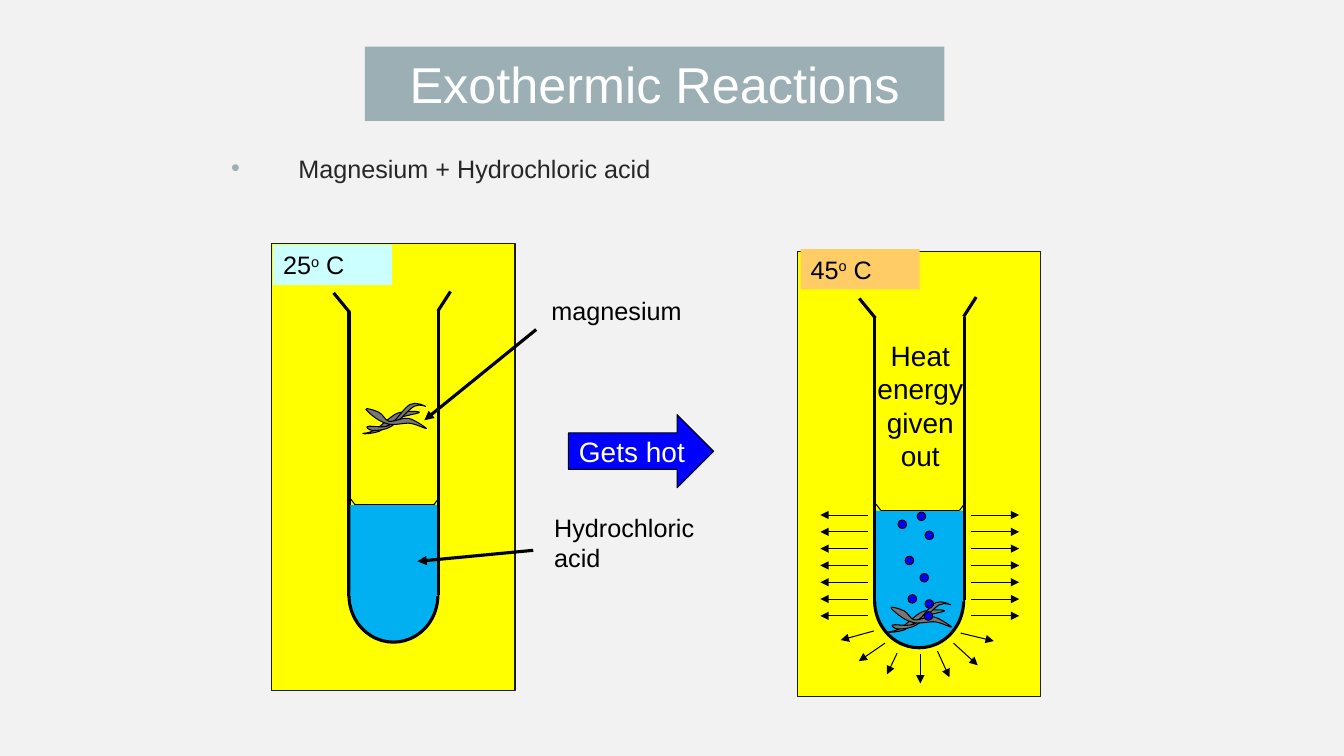
import dataclasses
import typing

import lxml.etree
import pptx
import pptx.dml.color
import pptx.enum.shapes
import pptx.enum.text
import pptx.oxml.ns
import pptx.util

Pt = pptx.util.Pt
qn = pptx.oxml.ns.qn
Kind = pptx.enum.shapes.MSO_SHAPE
Align = pptx.enum.text.PP_ALIGN
Anchor = pptx.enum.text.MSO_ANCHOR
Point = tuple[float, float]


@dataclasses.dataclass(frozen=True)
class Theme:
    font: str = "Arial"
    page: str = "F2F2F2"
    band: str = "9BAFB5"
    white: str = "FFFFFF"
    black: str = "000000"
    body: str = "262626"
    panel: str = "FFFF00"
    edge: str = "1C1C1C"
    acid: str = "00B0F0"
    metal: str = "777777"
    blue: str = "0000FF"
    cool: str = "CCFFFF"
    warm: str = "FFCC66"
    title: float = 36
    large: float = 20
    text: float = 18
    thin: float = 0.75
    thick: float = 2.25


THEME = Theme()


class Box(typing.NamedTuple):
    left: float
    top: float
    width: float
    height: float


class Line(typing.NamedTuple):
    x1: float
    y1: float
    x2: float
    y2: float
    width: float = THEME.thin
    arrow: bool = False


class Run(typing.NamedTuple):
    text: str
    raised: bool = False


class Label(typing.NamedTuple):
    box: Box
    lines: list[list[Run]]
    size: float = THEME.text
    color: str = THEME.black
    align: Align = Align.LEFT
    wrap: bool = True


class Tube(typing.NamedTuple):
    panel: Box
    wall: Point
    strip: Point
    tag: Box
    fill: str
    heat: str
    dots: list[Point]
    rays: list[Line]


GLASS = [Line(0, 0, 0, 202.3, THEME.thick), Line(63.5, -1, 72.5, -15, THEME.thick),
         Line(0.5, 0, -11, -14, THEME.thick)]
RIGHT = [Line(64, -1, 64, 201.5, THEME.thick), Line(1, 133, 4.5, 137.5),
         Line(4.5, 137.5, 60.5, 137.5), Line(60.5, 137.5, 63.5, 133.5)]

BLADES: list[list[Point]] = [
    [(0.7, 23), (0, 23), (5, 23), (8.6, 20.9), (13, 18.7), (20.2, 10.8), (25.2, 8.6),
     (31, 6.5), (41, 7.2), (41, 7.9), (41.8, 8.6), (31, 10.1), (25.9, 12.2),
     (21.6, 14.4), (16.6, 19.4), (12.2, 21.6), (7.9, 23), (1.4, 23.8), (0.7, 23)],
    [(4.3, 18), (6.5, 17.3), (14.4, 19.4), (19.4, 17.3), (24.5, 14.4), (30.2, 4.3),
     (34.6, 2.2), (38.9, 0), (45.4, 3.6), (45.4, 3.6), (46.1, 4.3), (41.8, 1.4),
     (37.4, 3.6), (33.1, 5.8), (25.9, 15.1), (20.9, 18), (15.8, 20.9), (10.8, 20.9),
     (7.9, 20.9), (5, 20.9), (2.2, 18), (4.3, 18)],
    [(2.9, 5.8), (3.6, 7.2), (11.5, 14.4), (17.3, 15.8), (22.3, 18), (30.2, 15.1),
     (34.6, 15.8), (39.6, 16.6), (46.1, 20.2), (46.1, 19.4), (45.4, 18.7), (37.4, 13),
     (33.1, 12.2), (28.1, 11.5), (23, 15.1), (19.4, 14.4), (16.6, 13.7), (15.1, 9.4),
     (12.2, 7.9), (9.4, 6.5), (2.2, 4.3), (2.9, 5.8)],
]

DOTS: list[Point] = [(648.7, 424.8), (660.2, 437), (660.8, 428.4), (655.2, 365.8),
                     (641.5, 371.5), (660.8, 379.4), (646.6, 397.4), (657.2, 409.7)]
FAN = [(657.4, 467.3, 657.4, 488.2), (681.1, 459.4, 698.4, 475.2),
       (632.2, 459.4, 613.4, 472.3), (640.8, 466.6, 633.6, 481.7),
       (624.2, 450.7, 600.5, 457.2), (669.6, 465.1, 678.2, 483.8),
       (686.2, 452.2, 709.9, 457.9)]
SIDES = [(x1, 367.9 + 12 * row, x2, 367.9 + 12 * row)
         for x1, x2 in [(693.8, 728), (620, 586)] for row in range(7)]
RAYS = [Line(*ends, arrow=True) for ends in SIDES + FAN]

TUBES = [
    Tube(Box(194.1, 173.8, 173.8, 319.4), (249.3, 223.2), (258.5, 286.6),
         Box(195.1, 174.7, 85, 28.8), THEME.cool, "25", [], []),
    Tube(Box(569.5, 179.7, 173.5, 317.8), (624.8, 227.2), (633.6, 428.4),
         Box(571.9, 177.9, 85, 28.8), THEME.warm, "45", DOTS, RAYS),
]

NOTES = [
    (Label(Box(386.8, 207.4, 108.7, 28.8), [[Run("magnesium")]], wrap=False),
     Line(383, 235.4, 303.1, 300.2, THEME.thick, True)),
    (Label(Box(388.8, 362.2, 115.2, 51.1), [[Run("Hydrochloric")], [Run("acid")]],
           wrap=False),
     Line(380.9, 393.1, 298.1, 401, THEME.thick, True)),
]


def rgb(code: str) -> pptx.dml.color.RGBColor:
    return pptx.dml.color.RGBColor.from_string(code)


def paint(shape, fill: str, edge: str = "", width: float = THEME.thin) -> None:
    shape.shadow.inherit = False
    shape.fill.solid()
    shape.fill.fore_color.rgb = rgb(fill)
    if edge:
        shape.line.color.rgb = rgb(edge)
        shape.line.width = Pt(width)
    else:
        shape.line.fill.background()


def block(host, kind: Kind, box: Box, fill: str, edge: str = "",
          width: float = THEME.thin):
    shape = host.shapes.add_shape(kind, *map(Pt, box))
    paint(shape, fill, edge, width)
    return shape


def stroke(host, line: Line, dx: float = 0, dy: float = 0) -> None:
    wire = host.shapes.add_connector(
        pptx.enum.shapes.MSO_CONNECTOR.STRAIGHT, Pt(line.x1 + dx), Pt(line.y1 + dy),
        Pt(line.x2 + dx), Pt(line.y2 + dy))
    wire.line.color.rgb = rgb(THEME.black)
    wire.line.width = Pt(line.width)
    if line.arrow:
        lxml.etree.SubElement(wire.line._get_or_add_ln(), qn("a:tailEnd"), type="triangle")
    lxml.etree.SubElement(wire._element.spPr, qn("a:effectLst"))


def write(shape, label: Label, anchor: Anchor = Anchor.TOP) -> None:
    frame = shape.text_frame
    frame.word_wrap = label.wrap
    frame.vertical_anchor = anchor
    for spot, runs in enumerate(label.lines):
        para = frame.add_paragraph() if spot else frame.paragraphs[0]
        para.alignment = label.align
        for part in runs:
            run = para.add_run()
            run.text = part.text
            run.font.name = THEME.font
            run.font.size = Pt(label.size)
            run.font.color.rgb = rgb(label.color)
            if part.raised:
                run._r.get_or_add_rPr().set("baseline", "30000")


def note(host, label: Label):
    shape = host.shapes.add_textbox(*map(Pt, label.box))
    write(shape, label)
    return shape


def bend(shape) -> None:
    legs = list(shape._element.iter(qn("a:lnTo")))
    for start in range(0, len(legs), 3):
        arc = lxml.etree.Element(qn("a:cubicBezTo"))
        legs[start].addprevious(arc)
        for leg in legs[start:start + 3]:
            arc.append(leg[0])
            leg.getparent().remove(leg)


def draw_strip(host, spot: Point) -> None:
    for blade in BLADES:
        track = [(Pt(x + spot[0]), Pt(y + spot[1])) for x, y in blade]
        pen = host.shapes.build_freeform(*track[0])
        pen.add_line_segments(track[1:], close=True)
        shape = pen.convert_to_shape()
        bend(shape)
        paint(shape, THEME.metal, THEME.black)


def draw_tube(host, tube: Tube) -> None:
    x, y = tube.wall
    block(host, Kind.RECTANGLE, tube.panel, THEME.panel, THEME.edge)
    for line in GLASS:
        stroke(host, line, x, y)
    block(host, Kind.OVAL, Box(x, y + 168.5, 63.5, 67), THEME.acid, THEME.black, THEME.thick)
    block(host, Kind.RECTANGLE, Box(x + 1, y + 137.5, 62.3, 65), THEME.acid)
    block(host, Kind.RECTANGLE, Box(x + 1.5, y + 200, 60.5, 8), THEME.acid)
    for line in RIGHT:
        stroke(host, line, x, y)
    draw_strip(host, tube.strip)
    for left, top in tube.dots:
        block(host, Kind.OVAL, Box(left, top, 6, 6), THEME.blue, THEME.black)
    for ray in tube.rays:
        stroke(host, ray)
    tag = block(host, Kind.RECTANGLE, tube.tag, tube.fill)
    write(tag, Label(tube.tag, [[Run(tube.heat), Run("o", True), Run(" C")]]))


def draw_point(slide) -> None:
    label = Label(Box(158, 105.8, 538.6, 49), [[Run("Magnesium + Hydrochloric acid")]],
                  color=THEME.body)
    para = note(slide, label).text_frame.paragraphs[0]
    props = para._p.get_or_add_pPr()
    props.set("marL", str(Pt(48)))
    props.set("indent", str(Pt(-48)))
    tint = lxml.etree.SubElement(props, qn("a:buClr"))
    lxml.etree.SubElement(tint, qn("a:srgbClr"), val=THEME.band)
    lxml.etree.SubElement(props, qn("a:buFont"), typeface=THEME.font)
    lxml.etree.SubElement(props, qn("a:buChar"), char="•")


def main() -> None:
    deck = pptx.Presentation()
    deck.slide_width, deck.slide_height = Pt(960), Pt(540)
    slide = deck.slides.add_slide(deck.slide_layouts[6])
    slide.background.fill.solid()
    slide.background.fill.fore_color.rgb = rgb(THEME.page)
    draw_point(slide)
    hot = Label(Box(406.1, 296.2, 103.7, 52.2), [[Run("Gets hot")]], THEME.large,
                THEME.white, Align.CENTER, False)
    arrow = block(slide, Kind.RIGHT_ARROW, hot.box, THEME.blue, THEME.black)
    write(arrow, hot, Anchor.MIDDLE)
    for tube in TUBES:
        draw_tube(slide.shapes.add_group_shape(), tube)
    for label, lead in NOTES:
        group = slide.shapes.add_group_shape()
        note(group, label)
        stroke(group, lead)
    words = ["Heat", "energy", "given", "out"]
    note(slide, Label(Box(617.4, 238, 80, 103), [[Run(word)] for word in words],
                      THEME.large, align=Align.CENTER))
    title = Label(Box(260.6, 33.3, 414, 53), [[Run("Exothermic Reactions")]],
                  THEME.title, THEME.white, Align.CENTER)
    write(block(slide, Kind.RECTANGLE, title.box, THEME.band), title, Anchor.MIDDLE)
    deck.save("out.pptx")


if __name__ == "__main__":
    main()
